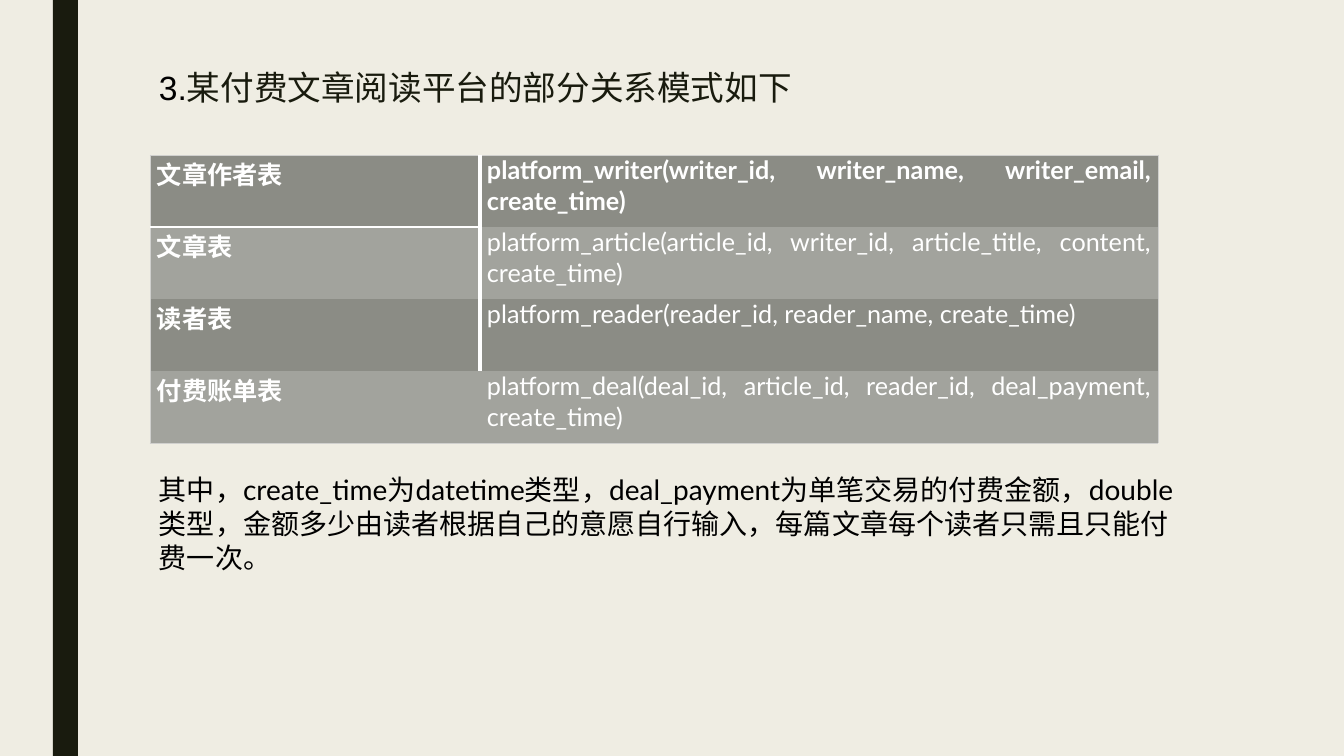
from lxml import etree
from pptx import Presentation
from pptx.dml.color import RGBColor
from pptx.enum.shapes import MSO_SHAPE
from pptx.enum.text import MSO_ANCHOR, PP_ALIGN
from pptx.oxml.ns import qn
from pptx.util import Emu, Pt

RECT = MSO_SHAPE.RECTANGLE
TOP, MIDDLE = MSO_ANCHOR.TOP, MSO_ANCHOR.MIDDLE
LEFT, JUSTIFY = PP_ALIGN.LEFT, PP_ALIGN.JUSTIFY

PAPER, INK, BLACK, WHITE = "EFEDE3", "191B0E", "000000", "FFFFFF"
DARK, LIGHT, EDGE = "8B8C85", "A2A39D", "D0D0CE"

ROWS = [
    ("文章作者表", "platform_writer(writer_id, writer_name, writer_email, create_time)"),
    ("文章表", "platform_article(article_id, writer_id, article_title, content, create_time)"),
    ("读者表", "platform_reader(reader_id, reader_name, create_time)"),
    ("付费账单表", "platform_deal(deal_id, article_id, reader_id, deal_payment, create_time)"),
]
NOTE = (
    "其中，create_time为datetime类型，deal_payment为单笔交易的付费金额，"
    "double类型，金额多少由读者根据自己的意愿自行输入，每篇文章每个读者只需且只能付费一次。"
)


def px(n):
    return Emu(round(n * 914400 / 100.8))


def rgb(code):
    return RGBColor.from_string(code)


def write(para, text, size=18, font="Lato", color=BLACK, bold=False, align=LEFT):
    para.alignment = align
    run = para.add_run()
    run.text = text
    run.font.size = Pt(size)
    run.font.name = font
    run.font.bold = bold
    run.font.color.rgb = rgb(color)


def border(cell, side, line):
    """Draw one cell side; line is (colour, points) or None."""
    props = cell._tc.get_or_add_tcPr()
    edge = etree.SubElement(props, qn("a:ln" + side))
    if line is None:
        etree.SubElement(edge, qn("a:noFill"))
        return
    color, width = line
    edge.set("w", str(Pt(width)))
    fill = etree.SubElement(edge, qn("a:solidFill"))
    etree.SubElement(fill, qn("a:srgbClr"), val=color)


class Deck:
    def __init__(self):
        self.prs = Presentation()
        self.prs.slide_width, self.prs.slide_height = px(1344), px(756)
        self.slide = self.prs.slides.add_slide(self.prs.slide_layouts[6])
        back = self.slide.background.fill
        back.solid()
        back.fore_color.rgb = rgb(PAPER)

    def bar(self, x, y, w, h, color):
        shape = self.slide.shapes.add_shape(RECT, px(x), px(y), px(w), px(h))
        shape.shadow.inherit = False
        shape.fill.solid()
        shape.fill.fore_color.rgb = rgb(color)
        shape.line.fill.background()

    def text(self, x, y, w, h, runs, anchor=TOP):
        box = self.slide.shapes.add_textbox(px(x), px(y), px(w), px(h))
        frame = box.text_frame
        frame.word_wrap = True
        frame.vertical_anchor = anchor
        for words, style in runs:
            write(frame.paragraphs[0], words, **style)

    def table(self, x, y, widths, pitch, rows):
        count = len(rows)
        frame = self.slide.shapes.add_table(
            count, len(widths), px(x), px(y), px(sum(widths)), px(pitch * count))
        grid = frame.table
        grid.first_row = grid.horz_banding = False
        for col, width in zip(grid.columns, widths):
            col.width = px(width)
        for r, row in enumerate(rows):
            grid.rows[r].height = px(pitch)
            for c, words in enumerate(row):
                self.cell(grid.cell(r, c), words, r, c, count - 1)

    def cell(self, cell, words, r, c, last):
        cell.margin_left = cell.margin_right = px(7)
        cell.margin_top = cell.margin_bottom = 0
        write(cell.text_frame.paragraphs[0], words, color=WHITE,
              bold=r == 0 or c == 0, align=JUSTIFY)
        # Thin outer frame, white rules inside
        outer = (EDGE, 0.5)
        split = (WHITE, 2.75) if r < last else None
        head = (WHITE, 1.5) if c == 0 else None
        border(cell, "L", outer if c == 0 else split)
        border(cell, "R", split if c == 0 else outer)
        border(cell, "T", outer if r == 0 else head if r == 1 else None)
        border(cell, "B", outer if r == last else head if r == 0 else None)
        cell.fill.solid()
        cell.fill.fore_color.rgb = rgb(LIGHT if r % 2 else DARK)


def main():
    deck = Deck()
    # Side bar
    deck.bar(53, 0, 25, 756, INK)
    # Table of relations
    deck.table(150, 155, (330, 678), 72, ROWS)
    # Title
    deck.text(149, 62, 817, 50, [
        ("3.", dict(size=24, font="Arial")),
        ("某付费文章阅读平台的部分关系模式如下", dict(size=24, color=INK)),
    ], MIDDLE)
    # Note below the table
    deck.text(149, 468, 1044, 112, [(NOTE, dict(size=20))])
    deck.prs.save("out.pptx")


if __name__ == "__main__":
    main()
